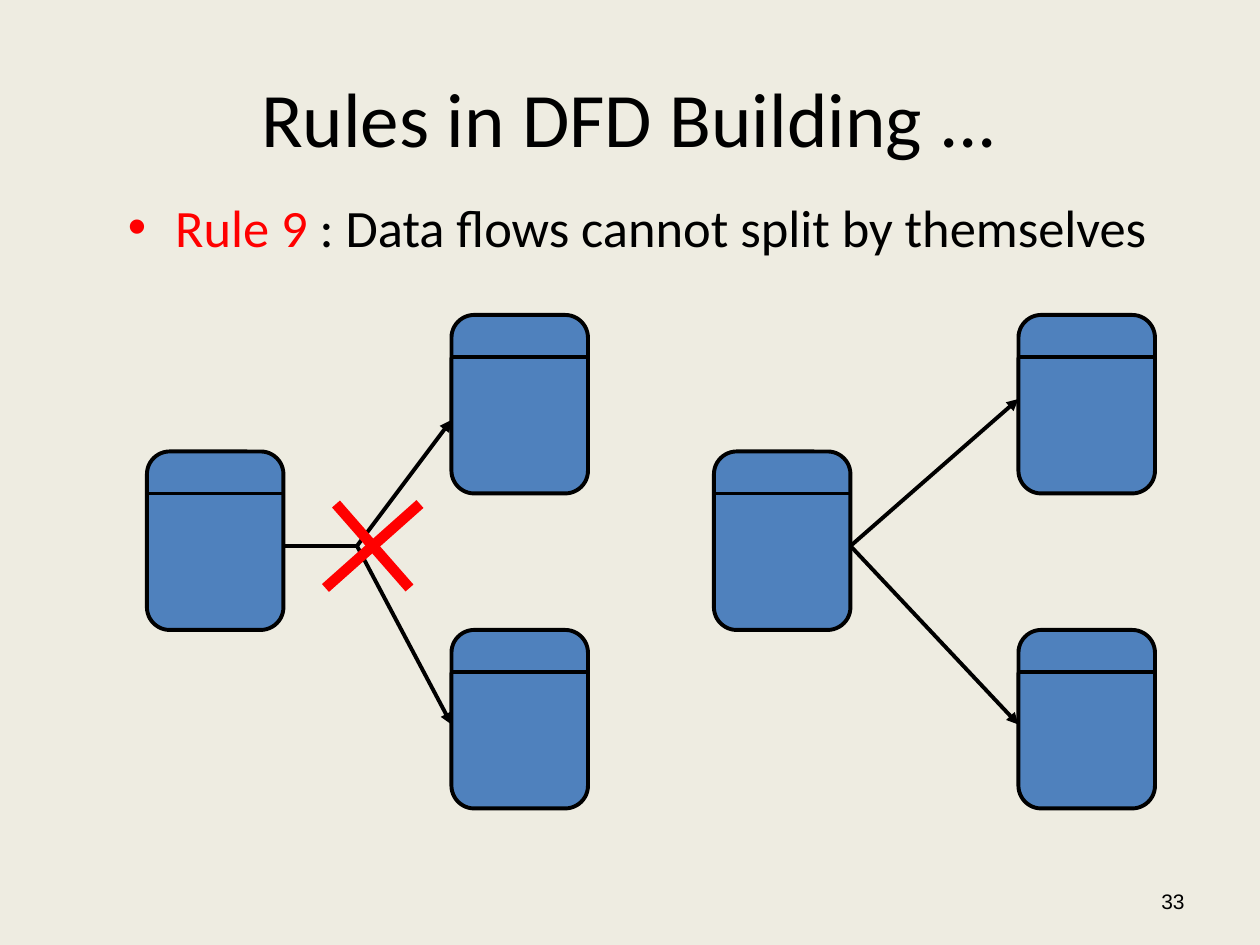
import pptx
import pptx.util
import pptx.dml.color
import pptx.enum.shapes
import pptx.enum.text
import pptx.oxml.ns
from lxml import etree

PX = 7620  # EMU: 120 px to the inch
BLACK, RED, BLUE, CREAM = "000000", "FF0000", "4F81BD", "EEECE1"
ALIGN = pptx.enum.text.PP_ALIGN
ANCHOR = pptx.enum.text.MSO_ANCHOR
PROCESS_WIDTH, PROCESS_HEIGHT = 130, 170


def px(*lengths):
    return [pptx.util.Emu(length * PX) for length in lengths]


def color(hex_string):
    return pptx.dml.color.RGBColor.from_string(hex_string)


def add_xml(parent, tag, **attributes):
    return etree.SubElement(parent, pptx.oxml.ns.qn(tag), attributes)


def set_font(paragraph, name, size):
    paragraph.font.name = name
    paragraph.font.size = pptx.util.Pt(size)
    paragraph.font.color.rgb = color(BLACK)


def add_line(slide, start, end, line_color=BLACK, width=2.25, arrow=False):
    line = slide.shapes.add_connector(
        pptx.enum.shapes.MSO_CONNECTOR.STRAIGHT, *px(*start, *end))
    line.line.color.rgb = color(line_color)
    line.line.width = pptx.util.Pt(width)
    if arrow:
        add_xml(line.line._get_or_add_ln(), "a:tailEnd", type="triangle")
    add_xml(line._element.spPr, "a:effectLst")


def add_title(slide, left, top, width, height):
    title = slide.shapes.title
    title.left, title.top, title.width, title.height = px(left, top, width, height)
    title.text_frame.vertical_anchor = ANCHOR.MIDDLE
    paragraph = title.text_frame.paragraphs[0]
    paragraph.text = "Rules in DFD Building ..."
    paragraph.alignment = ALIGN.CENTER
    set_font(paragraph, "Calibri", 44)


def add_rule(slide, left, top, width, height):
    box = slide.shapes.add_textbox(*px(left, top, width, height))
    box.text_frame.word_wrap = True
    paragraph = box.text_frame.paragraphs[0]
    paragraph.space_before = pptx.util.Pt(7.5)
    properties = paragraph._p.get_or_add_pPr()
    indent = 45 * PX
    properties.set("marL", str(indent))
    properties.set("indent", str(-indent))
    add_xml(add_xml(properties, "a:buClr"), "a:srgbClr", val=RED)
    add_xml(properties, "a:buFont", typeface="Arial")
    add_xml(properties, "a:buChar", char="•")
    set_font(paragraph, "Calibri", 30)
    for text, text_color in (("Rule 9", RED),
                             (" : Data flows cannot split by themselves", BLACK)):
        run = paragraph.add_run()
        run.text = text
        run.font.color.rgb = color(text_color)


def add_page_number(slide, left, top, width, height):
    box = slide.shapes.add_textbox(*px(left, top, width, height))
    box.text_frame.word_wrap = True
    box.text_frame.vertical_anchor = ANCHOR.MIDDLE
    paragraph = box.text_frame.paragraphs[0]
    paragraph.text = "33"
    paragraph.alignment = ALIGN.RIGHT
    set_font(paragraph, "Arial", 12)


def add_process(slide, left, top):
    """Draw a DFD process: a rounded box with a header rule."""
    box = slide.shapes.add_shape(
        pptx.enum.shapes.MSO_SHAPE.ROUNDED_RECTANGLE,
        *px(left, top, PROCESS_WIDTH, PROCESS_HEIGHT))
    box.shadow.inherit = False
    box.fill.solid()
    box.fill.fore_color.rgb = color(BLUE)
    box.line.color.rgb = color(BLACK)
    box.line.width = pptx.util.Pt(2.25)
    add_line(slide, (left, top + 40), (left + PROCESS_WIDTH, top + 40))


def add_flow_diagram(slide, left, top, width, height, stem, upper_entry):
    """Draw one process feeding two; the flow forks after a stem of the given length."""
    target_left = left + width - PROCESS_WIDTH
    lower_top = top + height - PROCESS_HEIGHT
    add_process(slide, left, top + 130)
    add_process(slide, target_left, top)
    add_process(slide, target_left, lower_top)

    source = (left + PROCESS_WIDTH, top + 220)
    fork = (source[0] + stem, source[1])
    if stem:
        add_line(slide, source, fork)
    for entry in (top + upper_entry, lower_top + 90):
        add_line(slide, fork, (target_left, entry), arrow=True)


def add_cross(slide, left, top, width, height):
    right, bottom = left + width, top + height
    add_line(slide, (left + 10, top), (right - 10, bottom), RED, 6)
    add_line(slide, (right, top), (left, bottom), RED, 6)


def main():
    presentation = pptx.Presentation()
    presentation.slide_width, presentation.slide_height = px(1200, 900)
    slide = presentation.slides.add_slide(presentation.slide_layouts[5])
    slide.background.fill.solid()
    slide.background.fill.fore_color.rgb = color(CREAM)

    add_title(slide, 60, 36, 1080, 150)
    add_rule(slide, 110, 180, 1010, 100)
    add_page_number(slide, 860, 834, 280, 48)
    add_flow_diagram(slide, 140, 300, 420, 470, stem=70, upper_entry=100)
    add_cross(slide, 310, 480, 90, 80)
    add_flow_diagram(slide, 680, 300, 420, 470, stem=0, upper_entry=80)
    presentation.save("out.pptx")


if __name__ == "__main__":
    main()
